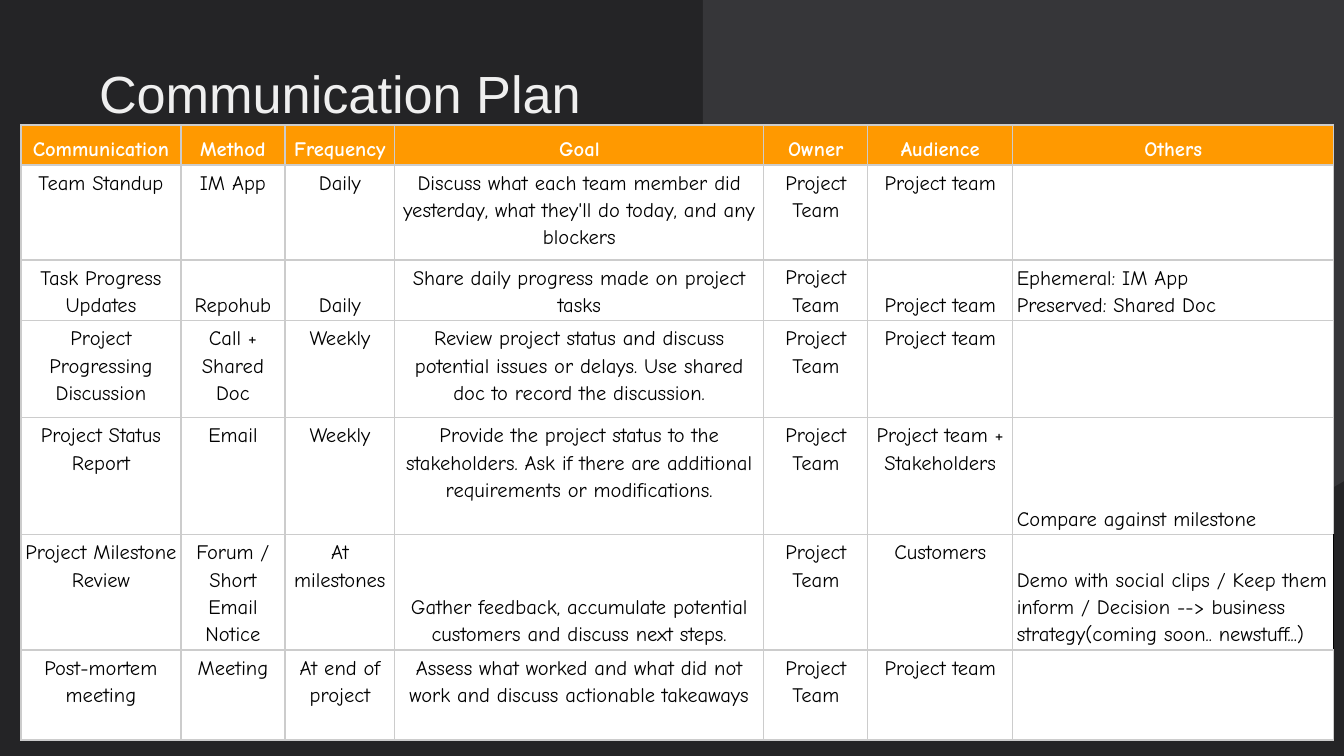
from dataclasses import dataclass

from lxml import etree
from pptx import Presentation
from pptx.dml.color import RGBColor
from pptx.enum.text import MSO_ANCHOR, MSO_AUTO_SIZE, PP_ALIGN
from pptx.oxml.ns import qn
from pptx.util import Emu, Pt

TOP, BOTTOM = MSO_ANCHOR.TOP, MSO_ANCHOR.BOTTOM
LEFT, CENTER = PP_ALIGN.LEFT, PP_ALIGN.CENTER
NO_AUTOFIT = MSO_AUTO_SIZE.NONE
EMU_PER_PX = 914400 / 134.4
TITLE_ONLY = 5


@dataclass(frozen=True)
class Theme:
    background: str = "242426"
    panel: str = "363639"
    title: str = "EFEFEF"
    header: str = "FF9900"
    header_text: str = "FFFFFF"
    body: str = "FFFFFF"
    body_text: str = "000000"
    border: str = "CCCCCC"
    dark_border: str = "000000"
    title_font: str = "Arial"
    table_font: str = "Comic Neue"
    title_size: int = 28
    table_size: int = 11
    border_width: float = 0.75
    line_spacing: float = 1.15


HEXAGON = [(1094, -280), (703, -54), (703, 399), (1094, 626), (1486, 399), (1486, -54)]

COLUMN_WIDTHS = [160, 104, 110, 369, 104, 145, 321]
ROW_HEIGHTS = [40, 95, 61, 97, 117, 115, 90]
GOAL, OTHERS = 3, 6
HEADER_ROW, UPDATES_ROW, REPORT_ROW, MILESTONE_ROW = 0, 2, 4, 5
BOTTOM_COLUMNS = {
    HEADER_ROW: {0, 1, 2, 3, 4, 5, 6},
    UPDATES_ROW: {0, 1, 2, 3, 5, 6},
    REPORT_ROW: {OTHERS},
    MILESTONE_ROW: {GOAL, OTHERS},
}
PLAN = [
    ["Communication", "Method", "Frequency", "Goal", "Owner", "Audience", "Others"],
    ["Team Standup", "IM App", "Daily",
     "Discuss what each team member did yesterday, what they'll do today, and any blockers",
     "Project Team", "Project team", ""],
    ["Task Progress Updates", "Repohub", "Daily",
     "Share daily progress made on project tasks",
     "Project Team", "Project team", "Ephemeral: IM App\nPreserved: Shared Doc"],
    ["Project Progressing Discussion", "Call + Shared Doc", "Weekly",
     "Review project status and discuss potential issues or delays. "
     "Use shared doc to record the discussion.",
     "Project Team", "Project team", ""],
    ["Project Status Report", "Email", "Weekly",
     "Provide the project status to the stakeholders. "
     "Ask if there are additional requirements or modifications.",
     "Project Team", "Project team + Stakeholders", ""
     "Compare against milestone"],
    ["Project Milestone Review", "Forum / Short Email Notice", "At milestones",
     "Gather feedback, accumulate potential customers and discuss next steps.",
     "Project Team", "Customers",
     "Demo with social clips / Keep them inform / Decision --> business "
     "strategy(coming soon.. newstuff...)"],
    ["Post-mortem meeting", "Meeting", "At end of project",
     "Assess what worked and what did not work and discuss actionable takeaways",
     "Project Team", "Project team", ""],
]


def px(length):
    return Emu(round(length * EMU_PER_PX))


def color(value):
    return RGBColor.from_string(value)


class SlideBuilder:
    """Holds the theme and the slide being built."""

    def __init__(self, slide, theme):
        self.slide = slide
        self.theme = theme

    def background(self):
        fill = self.slide.background.fill
        fill.solid()
        fill.fore_color.rgb = color(self.theme.background)

    def panel(self, points):
        """Draws a filled polygon behind everything else."""
        corners = [(px(x), px(y)) for x, y in points]
        builder = self.slide.shapes.build_freeform(*corners[0])
        builder.add_line_segments(corners[1:], close=True)
        shape = builder.convert_to_shape()
        shape.shadow.inherit = False
        shape.fill.solid()
        shape.fill.fore_color.rgb = color(self.theme.panel)
        shape.line.fill.background()
        self.slide.shapes._spTree.insert(2, shape._element)

    def title(self, text, left, top, width, height):
        shape = self.slide.shapes.title
        shape.left, shape.top = px(left), px(top)
        shape.width, shape.height = px(width), px(height)
        frame = shape.text_frame
        frame.text = text
        frame.auto_size = NO_AUTOFIT
        frame.vertical_anchor = BOTTOM
        frame.margin_left = frame.margin_right = px(13)
        frame.margin_top = frame.margin_bottom = px(13)
        frame.paragraphs[0].alignment = LEFT
        self.format_runs(frame, self.theme.title_font, self.theme.title_size,
                         self.theme.title, False)

    def format_runs(self, frame, font_name, size, text_color, bold):
        for paragraph in frame.paragraphs:
            for run in paragraph.runs:
                run.font.name = font_name
                run.font.size = Pt(size)
                run.font.bold = bold
                run.font.color.rgb = color(text_color)

    def table(self, left, top, column_widths, row_heights, rows):
        frame = self.slide.shapes.add_table(
            len(rows), len(column_widths), px(left), px(top),
            px(sum(column_widths)), px(sum(row_heights)))
        table = frame.table
        table.horz_banding = False
        for column, width in zip(table.columns, column_widths):
            column.width = px(width)
        for row, height in zip(table.rows, row_heights):
            row.height = px(height)
        for row_index, texts in enumerate(rows):
            for column_index, text in enumerate(texts):
                self.cell(table.cell(row_index, column_index), text, row_index, column_index)

    def cell(self, cell, text, row, column):
        theme = self.theme
        is_header = row == HEADER_ROW
        cell.margin_left = cell.margin_right = px(4)
        cell.margin_top = cell.margin_bottom = px(3)
        cell.vertical_anchor = BOTTOM if column in BOTTOM_COLUMNS.get(row, ()) else TOP
        cell.fill.solid()
        cell.fill.fore_color.rgb = color(theme.header if is_header else theme.body)
        frame = cell.text_frame
        frame.text = text
        for paragraph in frame.paragraphs:
            paragraph.alignment = LEFT if column == OTHERS and not is_header else CENTER
            paragraph.line_spacing = theme.line_spacing
        self.format_runs(frame, theme.table_font, theme.table_size,
                         theme.header_text if is_header else theme.body_text, is_header)
        is_dark_right = (row, column) == (MILESTONE_ROW, OTHERS)
        self.borders(cell, theme.dark_border if is_dark_right else theme.border)

    def borders(self, cell, right_color):
        properties = cell._tc.get_or_add_tcPr()
        for index, side in enumerate(("lnL", "lnR", "lnT", "lnB")):
            line = etree.Element(qn(f"a:{side}"), w=str(Pt(self.theme.border_width)))
            fill = etree.SubElement(line, qn("a:solidFill"))
            value = right_color if side == "lnR" else self.theme.border
            etree.SubElement(fill, qn("a:srgbClr"), val=value)
            properties.insert(index, line)


def main():
    presentation = Presentation()
    presentation.slide_width, presentation.slide_height = px(1344), px(756)
    slide = presentation.slides.add_slide(presentation.slide_layouts[TITLE_ONLY])
    builder = SlideBuilder(slide, Theme())
    builder.background()
    builder.panel(HEXAGON)
    builder.title("Communication Plan", 86, 52, 1193, 85)
    builder.table(21, 125, COLUMN_WIDTHS, ROW_HEIGHTS, PLAN)
    presentation.save("out.pptx")


if __name__ == "__main__":
    main()
